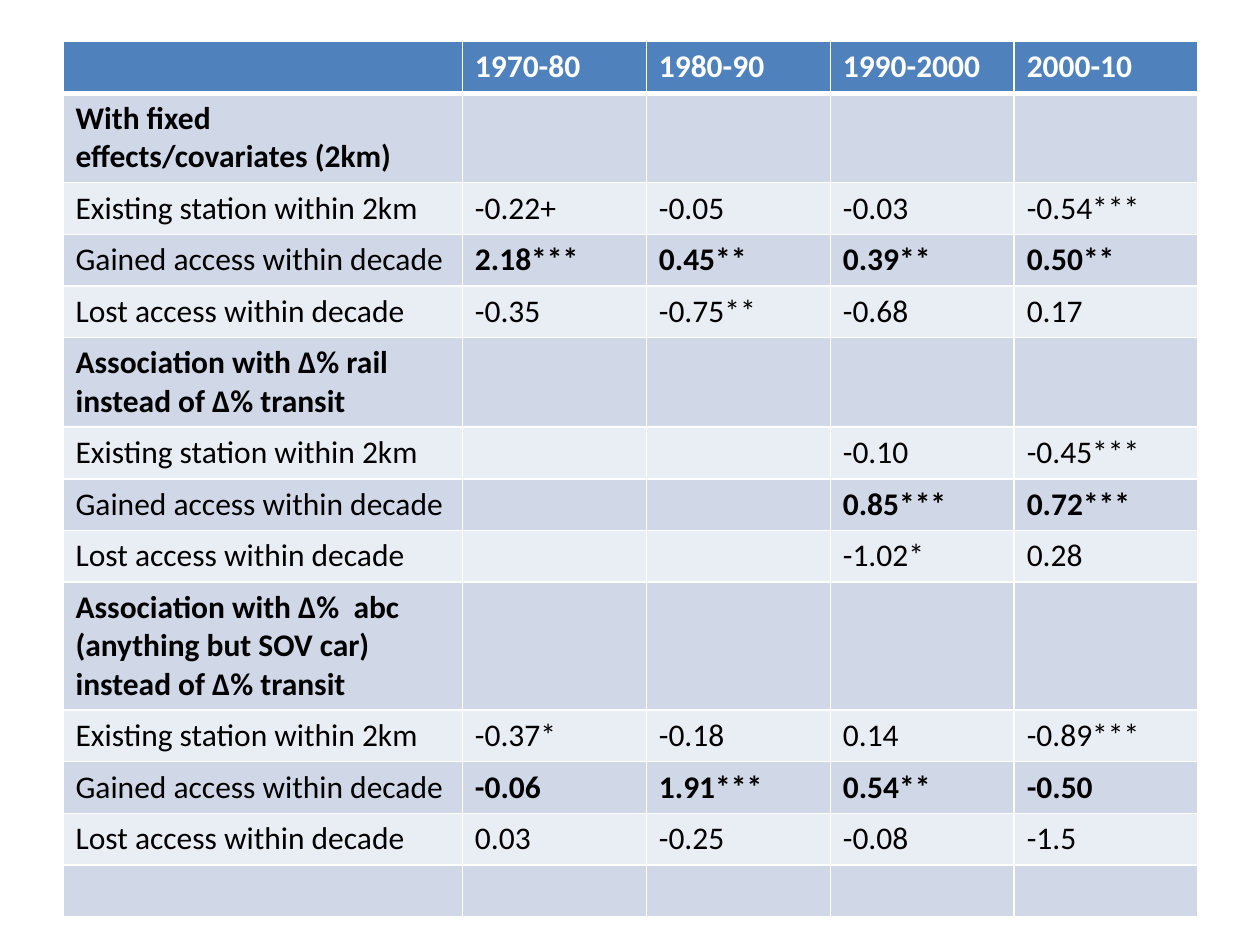
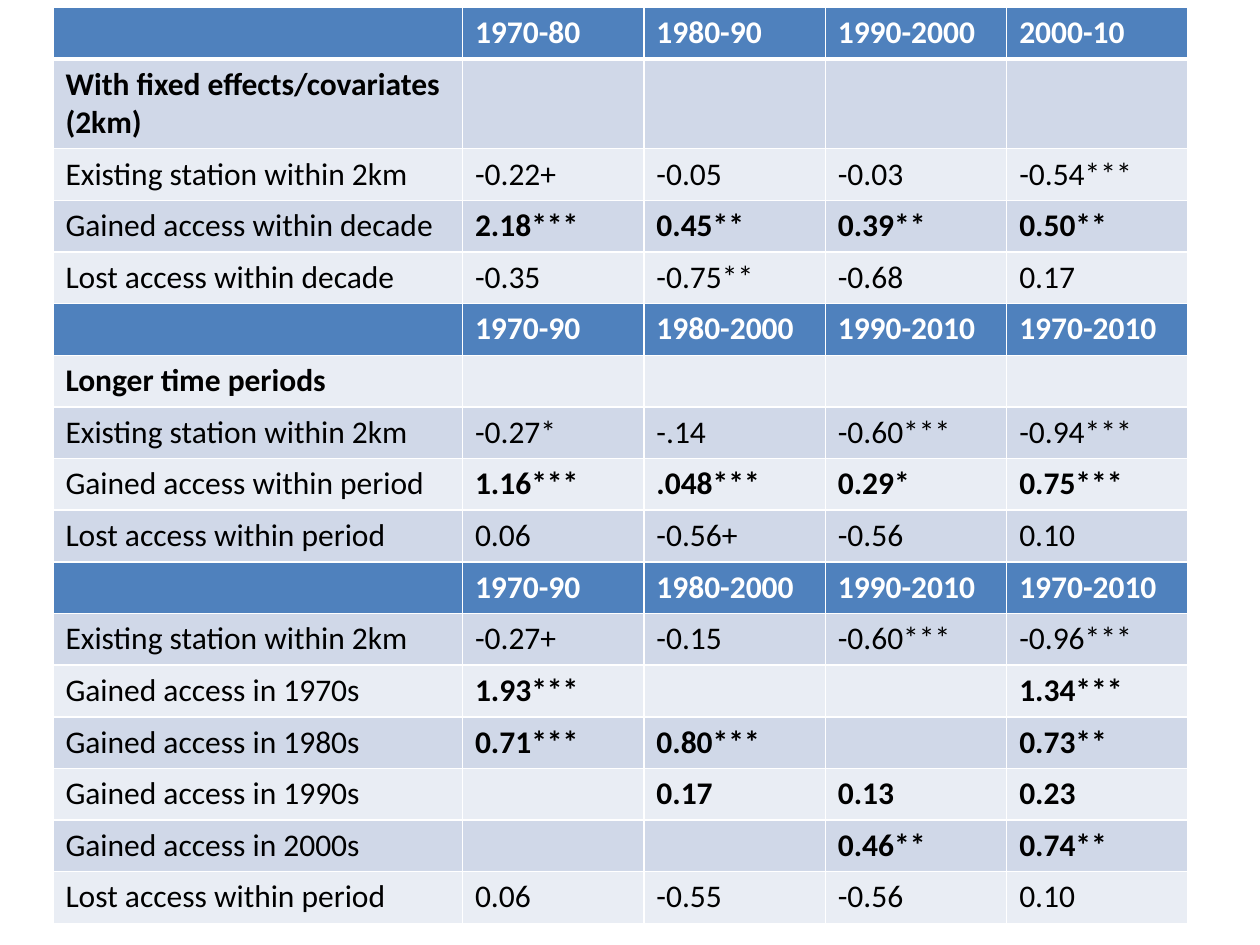
"""Build two slides of regression tables on rail station access."""
from lxml import etree
from pptx import Presentation
from pptx.dml.color import RGBColor
from pptx.oxml.ns import qn
from pptx.util import Inches, Pt

COLORS = {
    "header": "4F81BD",
    "band_dark": "D0D8E8",
    "band_light": "E9EDF4",
    "white": "FFFFFF",
    "black": "000000",
}
FONT = "Calibri"
TEXT_SIZE = Pt(18)
ROW_HEIGHT = Inches(0.41)
THIN, THICK = Pt(1), Pt(3)

EXISTING = "Existing station within 2km"
GAINED_DECADE = "Gained access within decade"
LOST_DECADE = "Lost access within decade"
LOST_PERIOD = "Lost access within period"
DECADES = ["", "1970-80", "1980-90", "1990-2000", "2000-10"]
PERIODS = ["", "1970-90", "1980-2000", "1990-2010", "1970-2010"]

BASE_MODEL = [
    DECADES,
    ["With fixed effects/covariates (2km)", "", "", "", ""],
    [EXISTING, "-0.22+", "-0.05", "-0.03", "-0.54***"],
    [GAINED_DECADE, "2.18***", "0.45**", "0.39**", "0.50**"],
    [LOST_DECADE, "-0.35", "-0.75**", "-0.68", "0.17"],
]
OTHER_OUTCOMES = BASE_MODEL + [
    ["Association with Δ% rail instead of Δ% transit", "", "", "", ""],
    [EXISTING, "", "", "-0.10", "-0.45***"],
    [GAINED_DECADE, "", "", "0.85***", "0.72***"],
    [LOST_DECADE, "", "", "-1.02*", "0.28"],
    ["Association with Δ%  abc (anything but SOV car) instead of Δ% transit", "", "", "", ""],
    [EXISTING, "-0.37*", "-0.18", "0.14", "-0.89***"],
    [GAINED_DECADE, "-0.06", "1.91***", "0.54**", "-0.50"],
    [LOST_DECADE, "0.03", "-0.25", "-0.08", "-1.5"],
    ["", "", "", "", ""],
]
LONGER_PERIODS = BASE_MODEL + [
    PERIODS,
    ["Longer time periods", "", "", "", ""],
    [EXISTING, "-0.27*", "-.14", "-0.60***", "-0.94***"],
    ["Gained access within period", "1.16***", ".048***", "0.29*", "0.75***"],
    [LOST_PERIOD, "0.06", "-0.56+", "-0.56", "0.10"],
    PERIODS,
    [EXISTING, "-0.27+", "-0.15", "-0.60***", "-0.96***"],
    ["Gained access in 1970s", "1.93***", "", "", "1.34***"],
    ["Gained access in 1980s", "0.71***", "0.80***", "", "0.73**"],
    ["Gained access in 1990s", "", "0.17", "0.13", "0.23"],
    ["Gained access in 2000s", "", "", "0.46**", "0.74**"],
    [LOST_PERIOD, "0.06", "-0.55", "-0.56", "0.10"],
]
TABLES = [
    (OTHER_OUTCOMES, 0.5, 0.33, 3.17, 1.46),
    (LONGER_PERIODS, 0.42, 0.06, 3.25, 1.44),
]


def set_borders(cell, top, bottom):
    """Draw white borders, with separate widths for the top and bottom."""
    properties = cell._tc.get_or_add_tcPr()
    for side, width in (("lnL", THIN), ("lnR", THIN), ("lnT", top), ("lnB", bottom)):
        line = etree.SubElement(properties, qn(f"a:{side}"), w=str(int(width)))
        fill = etree.SubElement(line, qn("a:solidFill"))
        etree.SubElement(fill, qn("a:srgbClr"), val=COLORS["white"])


deck = Presentation()
deck.slide_width = Inches(10)
deck.slide_height = Inches(7.5)

for rows, left, top, label_width, value_width in TABLES:
    page = deck.slides.add_slide(deck.slide_layouts[6])
    frame = page.shapes.add_table(
        len(rows), len(DECADES), Inches(left), Inches(top),
        Inches(label_width + 4 * value_width), ROW_HEIGHT * len(rows))
    table = frame.table
    for index, column in enumerate(table.columns):
        column.width = Inches(value_width if index else label_width)

    for row_index, values in enumerate(rows):
        table.rows[row_index].height = ROW_HEIGHT
        label = values[0]
        is_header = values in (DECADES, PERIODS)
        is_heading = not any(values[1:])
        is_gain = label.startswith("Gained")
        band = "header" if is_header else "band_dark" if row_index % 2 else "band_light"
        text_color = COLORS["white" if is_header else "black"]

        for column_index, value in enumerate(values):
            cell = table.cell(row_index, column_index)
            set_borders(cell, THICK if row_index == 1 else THIN,
                        THICK if row_index == 0 else THIN)
            cell.fill.solid()
            cell.fill.fore_color.rgb = RGBColor.from_string(COLORS[band])
            cell.text_frame.text = value
            para = cell.text_frame.paragraphs[0]
            for span in para.runs:
                span.font.name = FONT
                span.font.size = TEXT_SIZE
                span.font.bold = is_header or is_heading or (is_gain and column_index > 0)
                span.font.color.rgb = RGBColor.from_string(text_color)

deck.save("out.pptx")
